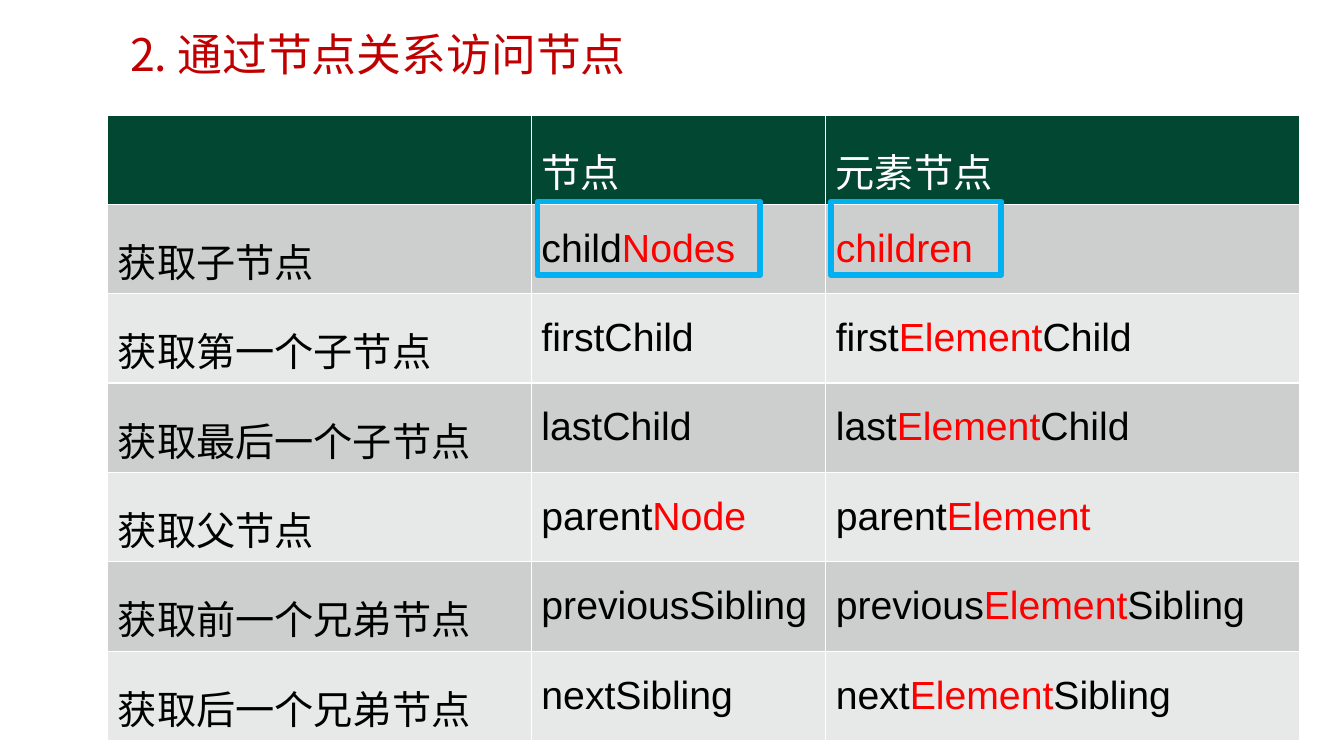
"""Build a slide with a table of DOM node relationship properties."""
from lxml import etree
from pptx import Presentation
from pptx.dml.color import RGBColor
from pptx.enum.shapes import MSO_SHAPE
from pptx.enum.text import MSO_ANCHOR, PP_ALIGN
from pptx.oxml.ns import qn
from pptx.util import Inches, Pt

RECT = MSO_SHAPE.RECTANGLE
LEFT = PP_ALIGN.LEFT
TOP, MIDDLE = MSO_ANCHOR.TOP, MSO_ANCHOR.MIDDLE

TITLE = "2. 通过节点关系访问节点"
ROWS = [
    ("", ["节点"], ["元素节点"]),
    ("获取子节点", ["child", "Nodes"], ["", "children"]),
    ("获取第一个子节点", ["firstChild"], ["first", "Element", "Child"]),
    ("获取最后一个子节点", ["lastChild"], ["last", "Element", "Child"]),
    ("获取父节点", ["parent", "Node"], ["parent", "Element"]),
    ("获取前一个兄弟节点", ["previousSibling"], ["previous", "Element", "Sibling"]),
    ("获取后一个兄弟节点", ["nextSibling"], ["next", "Element", "Sibling"]),
]
COL_WIDTHS = [4.2, 2.92, 4.7]
ROW_HEIGHT = 0.85
FRAMES = [(8.24, 1.69), (5.33, 2.21)]
COLORS = {"title": "C00000", "header": "024731", "odd": "CCCFCE", "even": "E7E9E8",
          "white": "FFFFFF", "text": "000000", "accent": "FF0000", "frame": "00B0F0"}
LATIN, CJK = "Arial", "Noto Sans CJK SC"


def rgb(name):
    return RGBColor.from_string(COLORS[name])


def add_run(p, text, color):
    r = p.add_run()
    r.text = text
    r.font.color.rgb = rgb(color)
    etree.SubElement(r.font._element, qn("a:ea"), typeface=CJK)


def add_title(s):
    title = s.shapes.title
    title.left, title.top = Inches(1.19), Inches(0.26)
    title.width, title.height = Inches(8.96), Inches(0.54)
    tf = title.text_frame
    tf.vertical_anchor = MIDDLE
    p = tf.paragraphs[0]
    p.alignment = LEFT
    p.font.size, p.font.name = Pt(32), CJK
    add_run(p, TITLE, "title")


def fill_cell(cell, parts, row):
    band = "header" if row == 0 else "odd" if row % 2 else "even"
    cell.fill.solid()
    cell.fill.fore_color.rgb = rgb(band)
    cell.vertical_anchor = TOP
    p = cell.text_frame.paragraphs[0]
    p.line_spacing = 1.4
    p.font.size, p.font.name, p.font.bold = Pt(28), LATIN, False
    plain = "white" if row == 0 else "text"
    for i, part in enumerate(parts):
        if part:
            add_run(p, part, "accent" if i % 2 else plain)


def add_relations(s):
    table = s.shapes.add_table(len(ROWS), len(COL_WIDTHS), Inches(1.07), Inches(1.14),
                               Inches(sum(COL_WIDTHS)), Inches(ROW_HEIGHT * len(ROWS))).table
    for column, width in zip(table.columns, COL_WIDTHS):
        column.width = Inches(width)
    for row, (label, node, element) in enumerate(ROWS):
        table.rows[row].height = Inches(ROW_HEIGHT)
        for col, parts in enumerate(([label], node, element)):
            fill_cell(table.cell(row, col), parts, row)


def add_frames(s):
    for left, width in FRAMES:
        sp = s.shapes.add_shape(RECT, Inches(left), Inches(2), Inches(width), Inches(0.73))
        sp.shadow.inherit = False
        sp.fill.background()
        sp.line.color.rgb = rgb("frame")
        sp.line.width = Pt(4)


def main():
    prs = Presentation()
    prs.slide_width, prs.slide_height = Inches(13.33), Inches(7.5)
    s = prs.slides.add_slide(prs.slide_layouts[5])
    add_title(s)
    add_relations(s)
    add_frames(s)
    prs.save("out.pptx")


if __name__ == "__main__":
    main()
